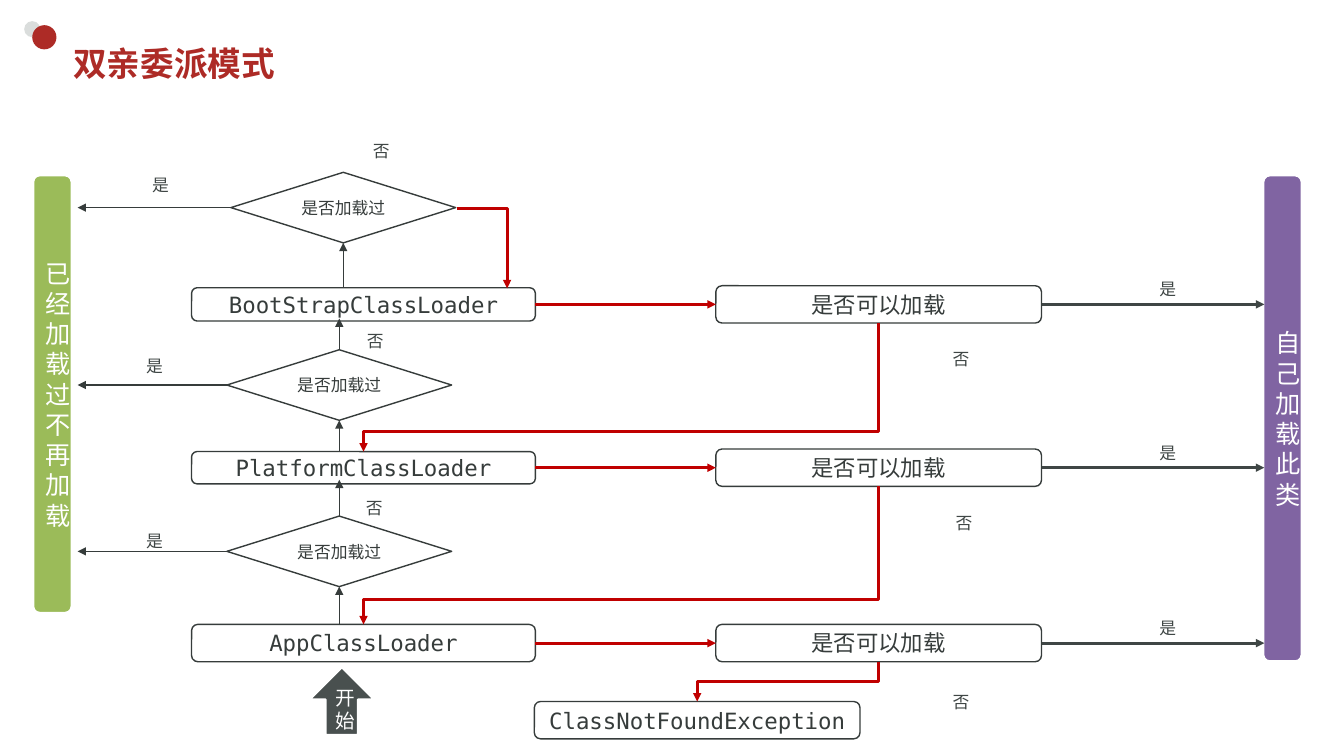
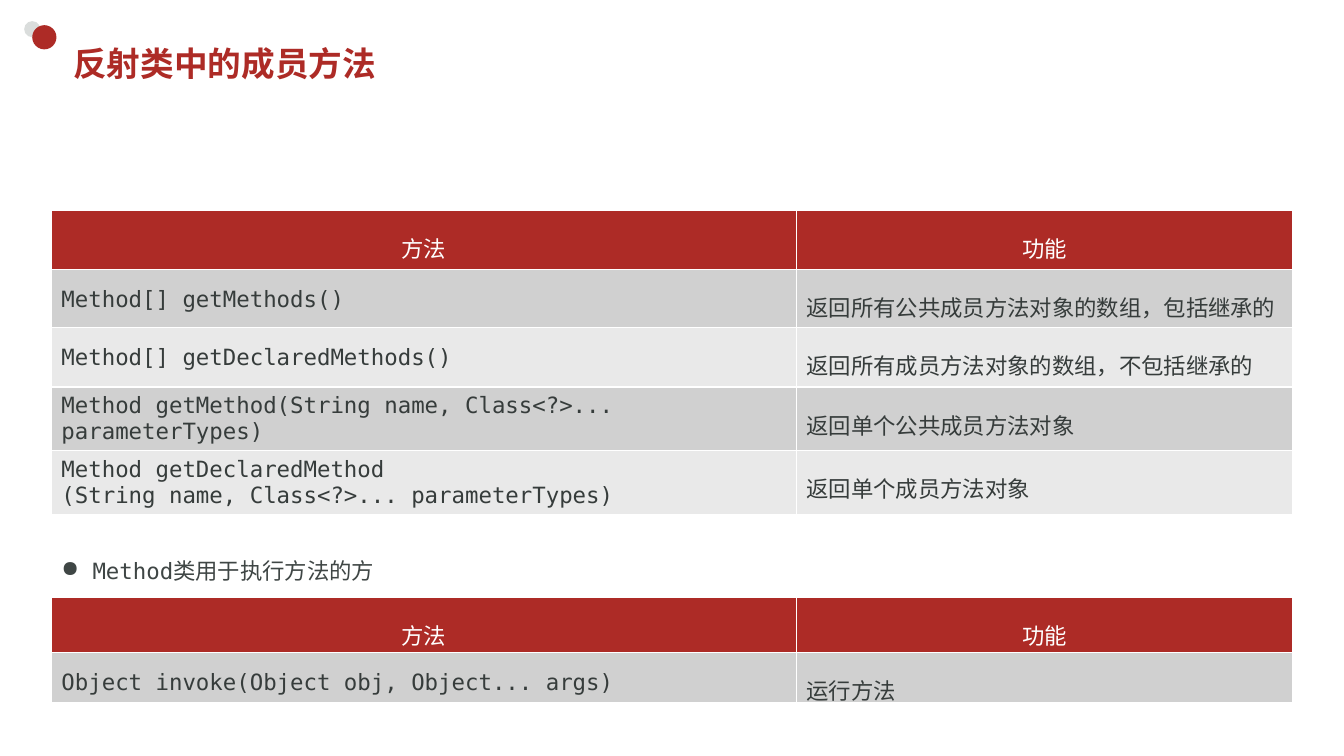
"""Build two slides on Java class loading and reflection methods."""
import lxml.etree
import pptx
import pptx.dml.color
import pptx.enum.shapes
import pptx.enum.text
import pptx.oxml.ns
import pptx.util

Inches = pptx.util.Inches
Pt = pptx.util.Pt
RGBColor = pptx.dml.color.RGBColor
Shape = pptx.enum.shapes.MSO_SHAPE
Connector = pptx.enum.shapes.MSO_CONNECTOR
Align = pptx.enum.text.PP_ALIGN
Anchor = pptx.enum.text.MSO_ANCHOR
qn = pptx.oxml.ns.qn

RED = RGBColor(0xAD, 0x2B, 0x26)
ARROW_RED = RGBColor(0xC0, 0x00, 0x00)
INK = RGBColor(0x36, 0x3C, 0x3B)
SLATE = RGBColor(0x3F, 0x46, 0x45)
CHARCOAL = RGBColor(0x49, 0x50, 0x4F)
DOT_GREY = RGBColor(0xDA, 0xDD, 0xDC)
GREEN = RGBColor(0x9B, 0xBB, 0x59)
PURPLE = RGBColor(0x80, 0x64, 0xA2)
BAND_DARK = RGBColor(0xD0, 0xD0, 0xD0)
BAND_LIGHT = RGBColor(0xE9, 0xE9, 0xE9)
WHITE = RGBColor(0xFF, 0xFF, 0xFF)
LATIN_FONT = "DejaVu Sans Mono"
ASIAN_FONT = "Noto Sans CJK JP"
TOP, LEFT, BOTTOM, RIGHT = range(4)


def add_xml(parent, tag, **attributes):
    return lxml.etree.SubElement(parent, qn(tag), attributes)


class SlideBuilder:
    """Hold the deck style and draw elements on the current slide."""

    def __init__(self):
        self.deck = pptx.Presentation()
        self.deck.slide_width = Inches(13.33)
        self.deck.slide_height = Inches(7.5)
        self.page = None

    def new_page(self, title):
        self.page = self.deck.slides.add_slide(self.deck.slide_layouts[6])
        self.shape(Shape.OVAL, 0.24, 0.21, 0.16, 0.16, DOT_GREY)
        self.shape(Shape.OVAL, 0.32, 0.25, 0.24, 0.24, RED)
        frame = self.text_box(0.63, 0.37, 11.74, 0.52)
        frame.vertical_anchor = Anchor.MIDDLE
        self.set_text(frame, title, 24, RED, bold=True)

    def set_text(self, frame, text, size, color, align=Align.LEFT,
                 spacing=None, bold=False, bullet=None):
        frame.text = text
        for para in frame.paragraphs:
            para.alignment = align
            para.line_spacing = spacing
            if bullet:
                properties = para._p.get_or_add_pPr()
                properties.set("marL", str(Inches(0.31)))
                properties.set("indent", str(-Inches(0.31)))
                add_xml(properties, "a:buChar", char=bullet)
            font = para.font
            font.size = Pt(size)
            font.bold = bold
            font.color.rgb = color
            font.name = LATIN_FONT
            defaults = para._p.pPr.find(qn("a:defRPr"))
            add_xml(defaults, "a:ea", typeface=ASIAN_FONT)

    def text_box(self, left, top, width, height):
        box = self.page.shapes.add_textbox(
            Inches(left), Inches(top), Inches(width), Inches(height))
        box.text_frame.word_wrap = True
        return box.text_frame

    def label(self, text, left, top):
        frame = self.text_box(left, top, 0.48, 0.37)
        self.set_text(frame, text, 12, SLATE, spacing=1.5)

    def bullet(self, text, left, top, width, height):
        frame = self.text_box(left, top, width, height)
        frame.word_wrap = False
        self.set_text(frame, text, 16, SLATE, spacing=1.5, bullet="●")

    def shape(self, kind, left, top, width, height, fill, line=None, weight=1.5):
        shape = self.page.shapes.add_shape(
            kind, Inches(left), Inches(top), Inches(width), Inches(height))
        shape.shadow.inherit = False
        shape.fill.solid()
        shape.fill.fore_color.rgb = fill
        if line is None:
            shape.line.fill.background()
        else:
            shape.line.color.rgb = line
            shape.line.width = Pt(weight)
        return shape

    def fill_text(self, shape, text, size, color):
        shape.text_frame.word_wrap = True
        shape.text_frame.vertical_anchor = Anchor.MIDDLE
        self.set_text(shape.text_frame, text, size, color, Align.CENTER)

    def solid_block(self, kind, text, left, top, width, height, fill, size=18):
        block = self.shape(kind, left, top, width, height, fill, WHITE)
        self.fill_text(block, text, size, WHITE)

    def step(self, text, left, top, width, height,
             kind=Shape.ROUNDED_RECTANGLE, size=16):
        box = self.shape(kind, left, top, width, height, WHITE, INK, 1)
        self.fill_text(box, text, size, INK)
        return box

    def connector(self, kind, begin, end, color, weight):
        line = self.page.shapes.add_connector(kind, *begin, *end)
        line.line.color.rgb = color
        line.line.width = Pt(weight)
        properties = line.element.spPr
        add_xml(properties.find(qn("a:ln")), "a:tailEnd", type="triangle")
        add_xml(properties, "a:effectLst")
        return line

    def arrow(self, begin, end, color=INK, weight=1, source=None, target=None):
        points = [(Inches(x), Inches(y)) for x, y in (begin, end)]
        line = self.connector(Connector.STRAIGHT, *points, color, weight)
        if source:
            line.begin_connect(*source)
        if target:
            line.end_connect(*target)

    def corner_arrow(self, begin, end):
        points = [(Inches(x), Inches(y)) for x, y in (begin, end)]
        line = self.connector(Connector.ELBOW, *points, ARROW_RED, 2)
        line.element.spPr.find(qn("a:prstGeom")).set("prst", "bentConnector2")

    def fallback_arrow(self, source, target, rise):
        start_x = source.left + source.width // 2
        start_y = source.top + source.height
        end_x = target.left + target.width // 2
        drop, shift = target.top - start_y, start_x - end_x
        left = (start_x + end_x - drop) // 2
        top = (start_y + target.top - shift) // 2
        line = self.connector(Connector.ELBOW, (left, top),
                              (left + drop, top + shift), ARROW_RED, 2)
        properties = line.element.spPr
        properties.find(qn("a:xfrm")).set("rot", "5400000")
        bend = round(100000 * (1 - Inches(rise) / drop))
        guides = properties.find(qn("a:prstGeom")).find(qn("a:avLst"))
        add_xml(guides, "a:gd", name="adj1", fmla=f"val {bend}")

    def table(self, top, heights, rows):
        widths = (7.39, 4.92)
        frame = self.page.shapes.add_table(
            len(rows), len(widths), Inches(0.51), Inches(top),
            Inches(sum(widths)), Inches(sum(heights)))
        grid = frame.table
        grid.horz_banding = False
        for column, width in zip(grid.columns, widths):
            column.width = Inches(width)
        for row_index, (height, texts) in enumerate(zip(heights, rows)):
            grid.rows[row_index].height = Inches(height)
            for column_index, text in enumerate(texts):
                self.cell(grid.cell(row_index, column_index), text,
                          row_index, column_index)

    def cell(self, cell, text, row_index, column_index):
        header = row_index == 0
        spaced = row_index < 2 or column_index == 1
        if not spaced:
            cell.vertical_anchor = Anchor.MIDDLE
        self.set_text(cell.text_frame, text, 16, WHITE if header else INK,
                      Align.CENTER if header else Align.LEFT,
                      1.5 if spaced else None)
        properties = cell._tc.get_or_add_tcPr()
        for side in ("a:lnL", "a:lnR", "a:lnT", "a:lnB"):
            border = add_xml(properties, side, w=str(Pt(1)))
            paint = add_xml(border, "a:solidFill")
            add_xml(paint, "a:srgbClr", val=str(WHITE))
        cell.fill.solid()
        band = BAND_DARK if row_index % 2 else BAND_LIGHT
        cell.fill.fore_color.rgb = RED if header else band


def build_delegation(builder):
    builder.new_page("双亲委派模式")
    builder.solid_block(Shape.ROUNDED_RECTANGLE, "已经加载过不再加载",
                        0.33, 1.74, 0.38, 4.34, GREEN)
    builder.solid_block(Shape.ROUNDED_RECTANGLE, "自己加载此类",
                        12.53, 1.74, 0.38, 4.82, PURPLE)
    builder.solid_block(Shape.UP_ARROW, "开始", 3.07, 6.62, 0.64, 0.67, CHARCOAL, 14)
    tiers = (
        ("BootStrapClassLoader", 3.02, 0.33, 2.29, 1.71, None),
        ("PlatformClassLoader", 4.64, 0.32, 2.25, 3.47, 3.16),
        ("AppClassLoader", 6.38, 0.37, 2.25, 5.12, 4.76),
    )
    checks = []
    targets = []
    for name, middle, height, left, top, parent_y in tiers:
        loader = builder.step(name, 1.9, middle - height / 2, 3.41, height)
        loaded = builder.step("是否加载过", left, top, 2.23, 0.7, Shape.FLOWCHART_DECISION, 12)
        check = builder.step("是否可以加载", 7.1, middle - 0.185, 3.23, 0.37)
        center = left + 1.115
        builder.arrow((center, middle - height / 2), (center, top + 0.7),
                      target=(loaded, BOTTOM))
        builder.arrow((left, top + 0.35), (0.77, top + 0.35), source=(loaded, LEFT))
        if parent_y:
            builder.arrow((center, top), (center, parent_y), source=(loaded, TOP))
        builder.arrow((5.31, middle), (7.1, middle), ARROW_RED, 2,
                      (loader, RIGHT), (check, LEFT))
        builder.arrow((10.33, middle), (12.54, middle), SLATE, 2, (check, RIGHT))
        builder.label("是", 11.4, middle - 0.4)
        checks.append(check)
        targets.append(loader)
    builder.corner_arrow((4.53, 2.07), (5.03, 2.86))
    missing = builder.step("ClassNotFoundException", 5.3, 6.96, 3.23, 0.37)
    for check, target, rise in zip(checks, targets[1:] + [missing], (0.2, 0.25, 0.2)):
        builder.fallback_arrow(check, target, rise)
    for left, top in ((1.41, 1.58), (1.35, 3.38), (1.35, 5.12)):
        builder.label("是", left, top)
    for left, top in ((3.6, 1.25), (3.54, 3.13), (3.53, 4.79),
                      (9.35, 3.31), (9.38, 4.94), (9.35, 6.71)):
        builder.label("否", left, top)


def build_methods(builder):
    builder.new_page("反射类中的成员方法")
    header = ("方法", "功能")
    builder.table(2.09, (0.58, 0.58, 0.59, 0.62, 0.62), (
        header,
        ("Method[] getMethods()", "返回所有公共成员方法对象的数组，包括继承的"),
        ("Method[] getDeclaredMethods()", "返回所有成员方法对象的数组，不包括继承的"),
        ("Method getMethod(String name, Class<?>... parameterTypes)",
         "返回单个公共成员方法对象"),
        ("Method getDeclaredMethod\n(String name, Class<?>... parameterTypes)",
         "返回单个成员方法对象"),
    ))
    builder.bullet("Method类用于执行方法的方法", 0.51, 5.34, 3.5, 0.46)
    builder.table(5.93, (0.54, 0.48), (
        header,
        ("Object invoke(Object obj, Object... args)", "运行方法"),
    ))


def main():
    builder = SlideBuilder()
    build_delegation(builder)
    build_methods(builder)
    builder.deck.save("out.pptx")


if __name__ == "__main__":
    main()
